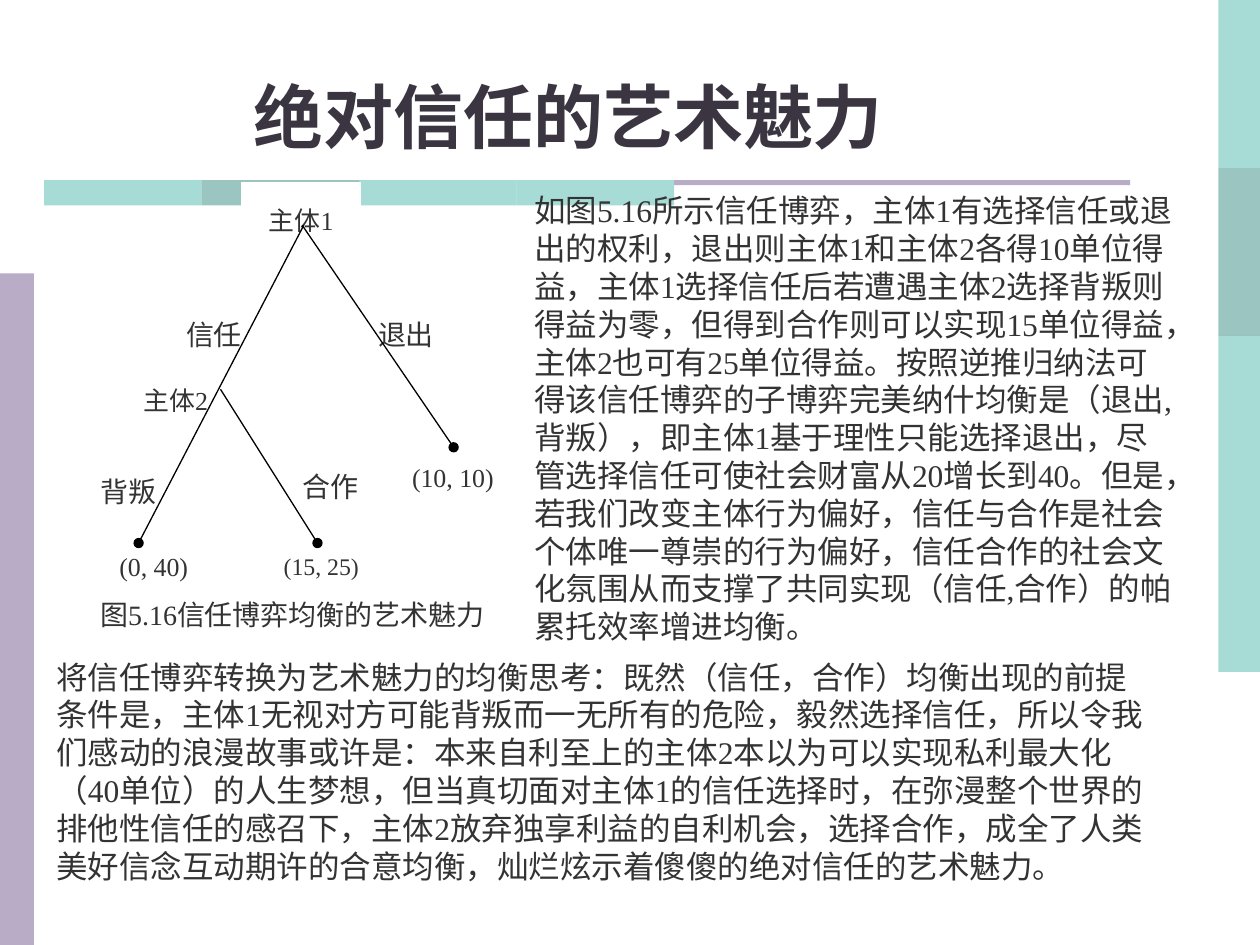
from lxml.etree import SubElement
from pptx import Presentation
from pptx.dml.color import RGBColor
from pptx.enum.shapes import MSO_CONNECTOR, MSO_SHAPE
from pptx.enum.text import MSO_ANCHOR, MSO_AUTO_SIZE, PP_ALIGN
from pptx.oxml.ns import qn
from pptx.util import Inches, Pt

THEME = {
    "font": "Times New Roman",
    "title": "3A3541", "text": "333333", "line": "000000", "paper": "FFFFFF",
    "teal": "51B9AF", "deep": "398D85", "mauve": "B8ACC6",
    "title_size": 40, "body_size": 18, "move_size": 16,
    "node_size": 14.8, "small_size": 13.6,
}
LEFT, MID, RIGHT, JUST = PP_ALIGN.LEFT, PP_ALIGN.CENTER, PP_ALIGN.RIGHT, PP_ALIGN.JUSTIFY

TITLE = "绝对信任的艺术魅力"
CAPTION = "图5.16信任博弈均衡的艺术魅力"
GAME = (
    "如图5.16所示信任博弈，主体1有选择信任或退出的权利，退出则主体1和主体2各得10单位得益，"
    "主体1选择信任后若遭遇主体2选择背叛则得益为零，但得到合作则可以实现15单位得益，"
    "主体2也可有25单位得益。按照逆推归纳法可得该信任博弈的子博弈完美纳什均衡是（退出,背叛），"
    "即主体1基于理性只能选择退出，尽管选择信任可使社会财富从20增长到40。"
    "但是，若我们改变主体行为偏好，信任与合作是社会个体唯一尊崇的行为偏好，"
    "信任合作的社会文化氛围从而支撑了共同实现（信任,合作）的帕累托效率增进均衡。"
)
STORY = (
    "将信任博弈转换为艺术魅力的均衡思考：既然（信任，合作）均衡出现的前提条件是，"
    "主体1无视对方可能背叛而一无所有的危险，毅然选择信任，所以令我们感动的浪漫故事或许是："
    "本来自利至上的主体2本以为可以实现私利最大化（40单位）的人生梦想，"
    "但当真切面对主体1的信任选择时，在弥漫整个世界的排他性信任的感召下，"
    "主体2放弃独享利益的自利机会，选择合作，成全了人类美好信念互动期许的合意均衡，"
    "灿烂炫示着傻傻的绝对信任的艺术魅力。"
)
# text, box, type size, alignment, line spacing
LABELS = [
    ("背叛", (0.67, 3.53, 0.7, 0.53), "move_size", MID, 1.9),
    ("合作", (2.23, 3.49, 0.78, 0.53), "move_size", MID, 1.9),
    ("(15, 25)", (2.23, 4.2, 0.64, 0.41), "small_size", MID, 1.8),
    ("退出", (3, 2.31, 0.85, 0.46), "move_size", JUST, 1.8),
    ("(10, 10)", (3.27, 3.49, 0.71, 0.42), "node_size", JUST, 1.7),
    ("主体2", (0.8, 2.88, 0.85, 0.42), "node_size", RIGHT, 1.7),
    ("(0, 40)", (0.91, 4.2, 0.62, 0.4), "node_size", MID, 1.7),
    ("信任", (0.99, 2.31, 0.93, 0.46), "move_size", RIGHT, 1.8),
    ("主体1", (1.92, 1.45, 0.94, 0.42), "node_size", MID, 1.7),
]
BRANCHES = [
    ((2.41, 1.79), (1.1, 4.31)),
    ((2.4, 1.79), (3.6, 3.55)),
    ((1.75, 3.09), (2.52, 4.31)),
]
SIDE = ["teal", "deep", "teal", "teal"]
RULE = ["teal", "deep", "teal", "teal"]


def color(name):
    return RGBColor.from_string(THEME[name])


def write(shape, text, size="body_size", tint="text", bold=False, align=LEFT,
          anchor=MSO_ANCHOR.TOP, pad=(0.1, 0.05), before=0, spacing=None, grow=False):
    frame = shape.text_frame
    frame.word_wrap = True
    frame.auto_size = MSO_AUTO_SIZE.SHAPE_TO_FIT_TEXT if grow else MSO_AUTO_SIZE.NONE
    frame.vertical_anchor = anchor
    frame.margin_left = frame.margin_right = Inches(pad[0])
    frame.margin_top = frame.margin_bottom = Inches(pad[1])
    para = frame.paragraphs[0]
    para.alignment = align
    para.space_before = Pt(before)
    para.line_spacing = spacing
    run = para.add_run()
    run.text = text
    font = run.font
    font.name, font.size, font.bold = THEME["font"], Pt(THEME[size]), bold
    font.color.rgb = color(tint)


def add_rect(slide, box, fill, alpha=None, edge=None):
    rect = slide.shapes.add_shape(MSO_SHAPE.RECTANGLE, *map(Inches, box))
    rect.shadow.inherit = False
    rect.fill.solid()
    rect.fill.fore_color.rgb = color(fill)
    if alpha:
        tone = next(rect.fill._xPr.iter(qn("a:srgbClr")))
        SubElement(tone, qn("a:alpha"), val=str(alpha * 1000))
    if edge:
        rect.line.color.rgb = color(edge)
        rect.line.width = Pt(0.75)
    else:
        rect.line.fill.background()
    return rect


def add_branch(slide, start, end):
    """Draw a tree branch that ends in a dot."""
    link = slide.shapes.add_connector(
        MSO_CONNECTOR.STRAIGHT, *map(Inches, start + end))
    link.line.color.rgb = color("line")
    link.line.width = Pt(0.75)
    SubElement(link.line._get_or_add_ln(), qn("a:tailEnd"), type="oval")
    SubElement(link._element.spPr, qn("a:effectLst"))


def add_bars(slide):
    high = 4 / 3
    for i, fill in enumerate(SIDE):
        add_rect(slide, (9.67, i * high, 0.33, high), fill, alpha=50)
    add_rect(slide, (0, 2.17, 0.27, 5.33), "mauve")
    wide = 1.25
    for i, fill in enumerate(RULE):
        add_rect(slide, (0.35 + i * wide, 1.43, wide, 0.2), fill, alpha=50)
    add_rect(slide, (5.35, 1.43, 3.62, 0.04), "mauve")


def add_text(slide, text, box, **style):
    write(slide.shapes.add_textbox(*map(Inches, box)), text, grow=True, **style)


def main():
    deck = Presentation()
    deck.slide_width, deck.slide_height = Inches(10), Inches(7.5)
    slide = deck.slides.add_slide(deck.slide_layouts[5])
    add_bars(slide)

    title = slide.shapes.title
    title.left, title.top, title.width, title.height = map(Inches, (0, 0.44, 9.02, 0.86))
    write(title, TITLE, size="title_size", tint="title", bold=True, align=MID,
          anchor=MSO_ANCHOR.BOTTOM)

    add_text(slide, CAPTION, (0.51, 4.69, 3.62, 0.37), size="move_size", align=MID,
             anchor=MSO_ANCHOR.MIDDLE)
    add_text(slide, GAME, (4.14, 1.47, 5.27, 3.7))
    add_text(slide, STORY, (0.35, 5.17, 8.9, 1.9))

    for text, box, size, align, spacing in LABELS:
        label = add_rect(slide, box, "paper", edge="paper")
        write(label, text, size=size, align=align, pad=(0, 0), spacing=spacing)
    for start, end in BRANCHES:
        add_branch(slide, start, end)
    deck.save("out.pptx")


if __name__ == "__main__":
    main()
